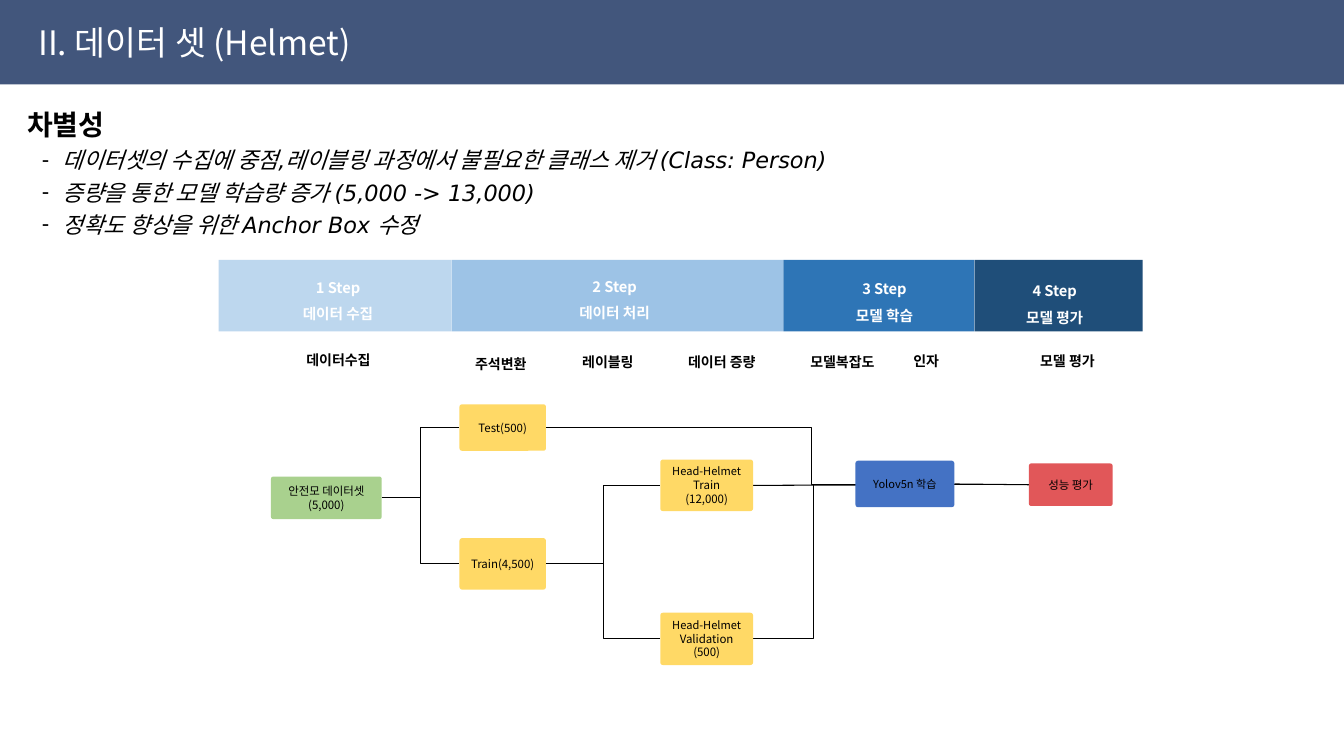
from dataclasses import dataclass
from itertools import pairwise

from lxml import etree
from pptx import Presentation
from pptx import util as u
from pptx.dml.color import RGBColor
from pptx.enum import shapes, text
from pptx.oxml.ns import qn


@dataclass(frozen=True)
class Theme:
    sans: str = "Noto Sans CJK KR"
    list_font: str = "DejaVu Sans"
    band: str = "42567C"
    white: str = "FFFFFF"
    black: str = "000000"
    steps: tuple = ("BDD7EE", "9DC3E6", "2E75B6", "1F4E79")
    green: str = "A9D18E"
    yellow: str = "FFD966"
    blue: str = "4472C4"
    red: str = "E15759"
    title_size: float = 24
    heading_size: float = 20
    list_size: float = 16
    step_size: float = 10.5
    label_size: float = 10
    node_size: float = 8.2
    small_size: float = 7.9
    line_width: float = 0.75


class SlideBuilder:
    def __init__(self, prs, theme):
        self.theme = theme
        self.slide = prs.slides.add_slide(prs.slide_layouts[1])
        self.shapes = self.slide.shapes

    def place(self, sp, x, y, w, h):
        sp.left, sp.top, sp.width, sp.height = (u.Cm(v) for v in (x, y, w, h))

    def send_to_back(self, sp):
        self.shapes._spTree.insert(2, sp._element)

    def style(self, p, size, color, bold=False, italic=False, latin=None):
        for r in p.runs:
            font = r.font
            font.name = latin or self.theme.sans
            font.size = u.Pt(size)
            font.bold, font.italic = bold, italic
            font.color.rgb = RGBColor.from_string(color)
            ea = etree.Element(qn("a:ea"), typeface=self.theme.sans)
            r._r.rPr.find(qn("a:latin")).addnext(ea)

    def title(self, words, x, y, w, h):
        sp = self.shapes.title
        self.place(sp, x, y, w, h)
        tf = sp.text_frame
        tf.text = words
        tf.auto_size = text.MSO_AUTO_SIZE.NONE
        tf.vertical_anchor = text.MSO_ANCHOR.MIDDLE
        p = tf.paragraphs[0]
        p.alignment = text.PP_ALIGN.LEFT
        self.style(p, self.theme.title_size, self.theme.white)

    def body(self, heading, items, x, y, w, h):
        t = self.theme
        sp = self.slide.placeholders[1]
        self.place(sp, x, y, w, h)
        tf = sp.text_frame
        tf.text = "\n".join([heading, *items])
        tf.auto_size = text.MSO_AUTO_SIZE.NONE
        for i, p in enumerate(tf.paragraphs):
            pPr = p._p.get_or_add_pPr()
            pPr.set("marL", str(u.Cm(0.9 if i else 0)))
            pPr.set("indent", str(u.Cm(-0.53 if i else 0)))
            if i:
                etree.SubElement(pPr, qn("a:buChar"), char="-")
            else:
                etree.SubElement(pPr, qn("a:buNone"))
            p.line_spacing = u.Pt(23)
            p.space_before = u.Pt(0)
            self.style(p, t.list_size if i else t.heading_size, t.black,
                       bold=not i, italic=bool(i), latin=t.list_font)

    def box(self, x, y, w, h, fill, kind=shapes.MSO_SHAPE.RECTANGLE):
        sp = self.shapes.add_shape(kind, *(u.Cm(v) for v in (x, y, w, h)))
        sp.shadow.inherit = False
        sp.fill.solid()
        sp.fill.fore_color.rgb = RGBColor.from_string(fill)
        sp.line.fill.background()
        return sp

    def label(self, words, center, y, w, h, size, color, spacing=None):
        sp = self.shapes.add_textbox(*(u.Cm(v) for v in (center - w / 2, y, w, h)))
        tf = sp.text_frame
        tf.text = words
        tf.word_wrap = False
        tf.auto_size = text.MSO_AUTO_SIZE.SHAPE_TO_FIT_TEXT
        for p in tf.paragraphs:
            p.alignment = text.PP_ALIGN.CENTER
            p.line_spacing = spacing
            self.style(p, size, color, bold=True)

    def node(self, words, x, y, w, h, fill, first_size=None):
        sp = self.box(x, y, w, h, fill, shapes.MSO_SHAPE.ROUNDED_RECTANGLE)
        sp.adjustments[0] = 0.054
        tf = sp.text_frame
        tf.text = words
        tf.word_wrap = True
        tf.vertical_anchor = text.MSO_ANCHOR.MIDDLE
        tf.margin_left = tf.margin_right = u.Cm(0.13)
        tf.margin_top = tf.margin_bottom = 0
        for i, p in enumerate(tf.paragraphs):
            p.alignment = text.PP_ALIGN.CENTER
            size = first_size if first_size and i == 0 else self.theme.node_size
            self.style(p, size, self.theme.black)
        return sp

    def link(self, source, target, bend=None):
        """Join source's right side to target: a node's left side or a point."""
        joined = not isinstance(target, tuple)
        if joined:
            end = target.left, target.top + target.height // 2
        else:
            end = tuple(u.Cm(v) for v in target)
        kind = shapes.MSO_CONNECTOR.ELBOW if bend else shapes.MSO_CONNECTOR.STRAIGHT
        line = self.shapes.add_connector(
            kind, source.left + source.width, source.top + source.height // 2, *end)
        line.begin_connect(source, 3)
        if joined:
            line.end_connect(target, 1)
        line.line.color.rgb = RGBColor.from_string(self.theme.black)
        line.line.width = u.Pt(self.theme.line_width)
        spPr = line._element.spPr
        etree.SubElement(spPr, qn("a:effectLst"))
        if bend:
            guides = spPr.find(qn("a:prstGeom")).get_or_add_avLst()
            etree.SubElement(guides, qn("a:gd"), name="adj1",
                             fmla=f"val {round(bend * 100000)}")
        self.send_to_back(line)


def main():
    prs = Presentation()
    prs.slide_width, prs.slide_height = u.Cm(33.87), u.Cm(19.05)
    t = Theme()
    s = SlideBuilder(prs, t)

    # Title band and list
    s.send_to_back(s.box(0, 0, 33.87, 2.13, t.band))
    s.title("II. 데이터 셋 (Helmet)", 0.71, 0.33, 21.18, 1.45)
    s.body("차별성", [
        "데이터셋의 수집에 중점,레이블링 과정에서 불필요한 클래스 제거 (Class: Person)",
        "증량을 통한 모델 학습량 증가 (5,000 -> 13,000)",
        "정확도 향상을 위한 Anchor Box 수정",
    ], 0.43, 2.62, 24.18, 3.45)

    # Step bar
    edges = [5.51, 11.38, 19.74, 24.56, 28.8]
    steps = [("데이터 수집", 8.52, 6.68), ("데이터 처리", 15.49, 6.65),
             ("모델 학습", 22.29, 6.71), ("모델 평가", 26.58, 6.76)]
    for (left, right), fill in zip(pairwise(edges), t.steps):
        s.box(left, 6.55, right - left, 1.8, fill)
    for number, (name, center, y) in enumerate(steps, 1):
        s.label(f"{number} Step\n{name}", center, y, 2.5, 1.52,
                t.step_size, t.white, spacing=1.5)

    # Stage labels
    for name, center, y, w in [
        ("데이터수집", 8.53, 8.74, 2.29), ("주석변환", 12.62, 8.84, 1.93),
        ("레이블링", 15.32, 8.79, 1.93), ("데이터 증량", 18.19, 8.79, 2.39),
        ("모델복잡도", 21.23, 8.79, 2.29), ("인자", 23.34, 8.76, 1.22),
        ("모델 평가", 26.9, 8.76, 2.03),
    ]:
        s.label(name, center, y, w, 0.69, t.label_size, t.black)

    # Flow nodes
    dataset = s.node("안전모 데이터셋(5,000)", 6.83, 12.01, 2.79, 1.07, t.green)
    test = s.node("Test(500)", 11.58, 10.19, 2.18, 1.17, t.yellow)
    train = s.node("Train(4,500)", 11.58, 13.56, 2.18, 1.3, t.yellow)
    helmet_train = s.node("Head-Helmet\nTrain\n(12,000)",
                          16.64, 11.58, 2.34, 1.3, t.yellow, t.small_size)
    helmet_val = s.node("Head-Helmet\nValidation\n(500)",
                        16.64, 15.44, 2.34, 1.32, t.yellow, t.small_size)
    learning = s.node("Yolov5n 학습", 21.56, 11.61, 2.49, 1.17, t.blue, t.small_size)
    evaluation = s.node("성능 평가", 25.93, 11.68, 2.11, 1.07, t.red)

    # Flow lines, the merging ones meeting behind the learning node
    merge = (22.58, 12.22)
    for source, target, bend in [
        (dataset, test, 0.5), (dataset, train, 0.5),
        (train, helmet_train, 0.5), (train, helmet_val, 0.5),
        (helmet_train, merge, None), (helmet_val, merge, 0.42),
        (test, evaluation, 0.55), (learning, evaluation, None),
    ]:
        s.link(source, target, bend)

    prs.save("out.pptx")


if __name__ == "__main__":
    main()
